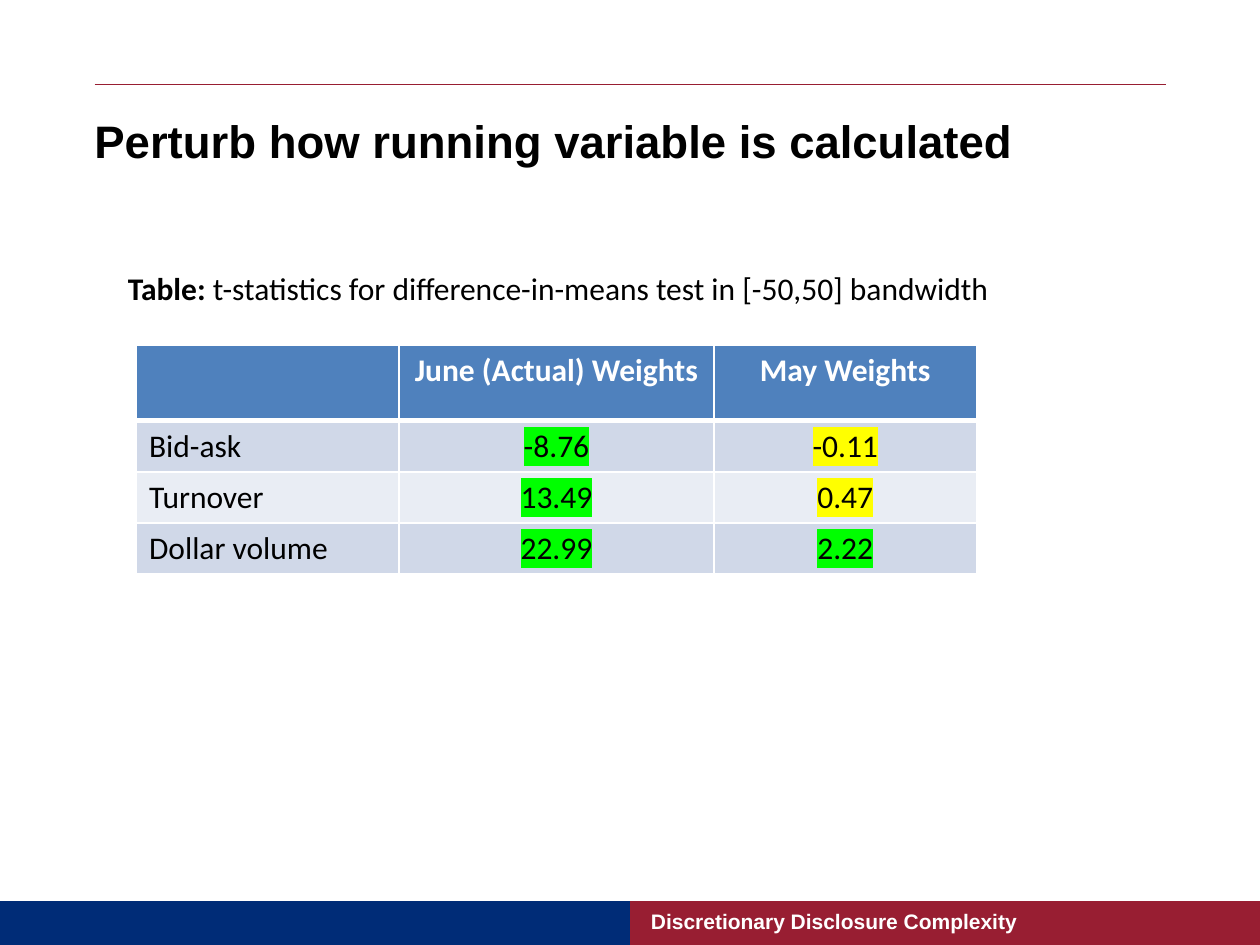
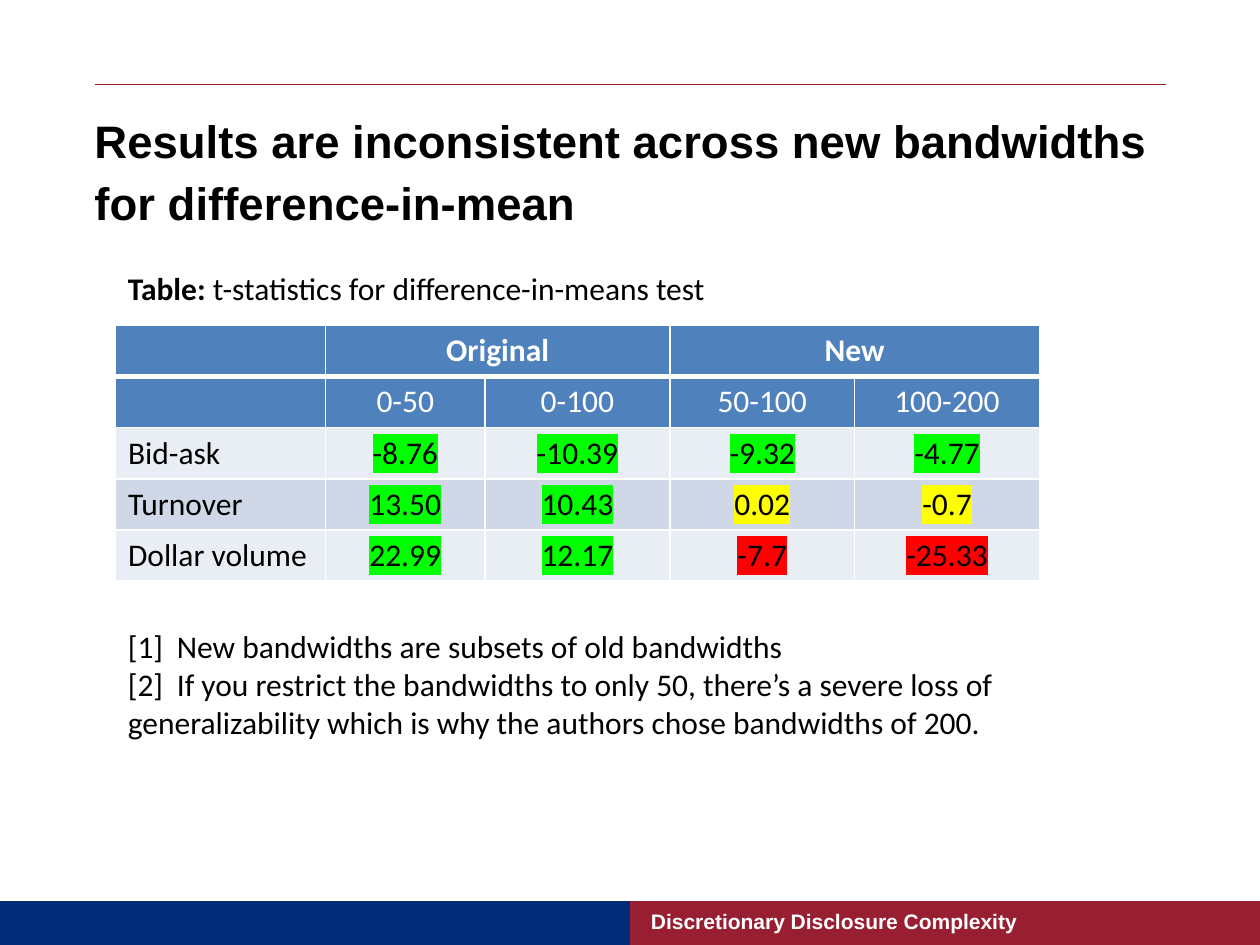
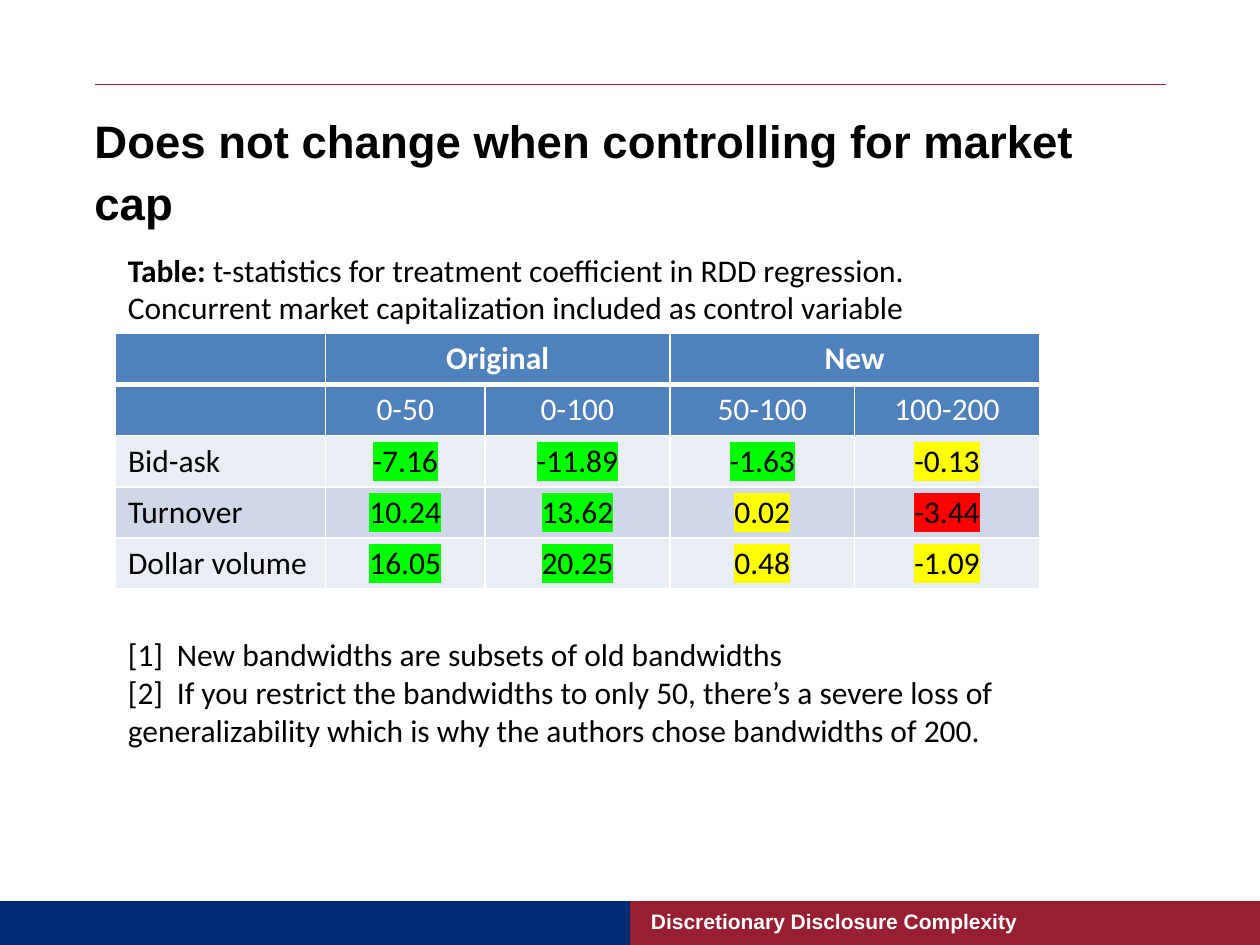
from lxml.etree import SubElement
from pptx import Presentation
from pptx.dml.color import RGBColor
from pptx.enum.shapes import MSO_CONNECTOR, MSO_SHAPE
from pptx.enum.text import MSO_ANCHOR, PP_ALIGN
from pptx.oxml.ns import qn
from pptx.util import Pt

BLACK, WHITE = "000000", "FFFFFF"
RED, NAVY, BLUE = "981E32", "002C77", "4F81BD"
BANDS = ["E9EDF4", "D0D8E8"]
GOOD, WEAK, BAD = "00FF00", "FFFF00", "FF0000"
CUTOFF = 1.5
ROW = 29.2
NOTES = [
    "[1]\tNew bandwidths are subsets of old bandwidths",
    "[2]\tIf you restrict the bandwidths to only 50, there’s a severe loss of "
    "generalizability which is why the authors chose bandwidths of 200.",
]
WIDE_HEAD = [["", "Original", "", "New", ""],
             ["", "0-50", "0-100", "50-100", "100-200"]]
WIDE_COLS = [120, 91.2, 105.6, 105.6, 105.6]


def color(code):
    return RGBColor.from_string(code)


def style(para, size, name="Calibri", code=BLACK, bold=None):
    font = para.font
    font.size, font.name, font.bold = Pt(size), name, bold
    font.color.rgb = color(code)


def add_text(slide, box, lines, inset=True):
    frame = slide.shapes.add_textbox(*map(Pt, box)).text_frame
    frame.word_wrap = True
    if not inset:
        frame.margin_left = frame.margin_right = 0
        frame.margin_top = frame.margin_bottom = 0
    for index, line in enumerate(lines):
        para = frame.add_paragraph() if index else frame.paragraphs[0]
        para.add_run().text = line
    return frame


def add_rule(slide, left, top, width):
    line = slide.shapes.add_connector(
        MSO_CONNECTOR.STRAIGHT, Pt(left), Pt(top), Pt(left + width), Pt(top))
    line.line.color.rgb = color(RED)
    line.line.width = Pt(0.5)
    SubElement(line._element.spPr, qn("a:effectLst"))


def add_title(slide, box, title):
    left, top, width, height = box
    add_rule(slide, left, top, width)
    frame = add_text(slide, (left, top + 12, width, height - 12), [title], False)
    para = frame.paragraphs[0]
    para.line_spacing = 1.14
    style(para, 26, "Arial", bold=True)


def add_footer(slide, box):
    left, top, width, height = box
    half = width / 2
    for start, code in ((left + half, RED), (left, NAVY)):
        band = slide.shapes.add_shape(
            MSO_SHAPE.RECTANGLE, Pt(start), Pt(top), Pt(half), Pt(height))
        band.shadow.inherit = False
        band.fill.solid()
        band.fill.fore_color.rgb = color(code)
        band.line.fill.background()
    frame = add_text(slide, (left + half + 12, top, 270, height - 2),
                     ["Discretionary Disclosure Complexity"], False)
    frame.vertical_anchor = MSO_ANCHOR.MIDDLE
    style(frame.paragraphs[0], 12, "Arial", WHITE, True)


def add_caption(slide, box, lines):
    frame = add_text(slide, box, lines)
    for para in frame.paragraphs:
        style(para, 18)
    first = frame.paragraphs[0]
    label, rest = first.runs[0].text.split(" ", 1)
    first.runs[0].text = label + " "
    first.runs[0].font.bold = True
    first.add_run().text = rest


def add_notes(slide, box):
    for para in add_text(slide, box, NOTES).paragraphs:
        style(para, 18)
        tabs = para._p.get_or_add_pPr()
        stops = tabs.makeelement(qn("a:tabLst"))
        SubElement(stops, qn("a:tab"), pos=str(Pt(28)), algn="l")
        tabs.find(qn("a:defRPr")).addprevious(stops)


def mark(label, value):
    score = float(value) * (-1 if label == "Bid-ask" else 1)
    if abs(score) < CUTOFF:
        return WEAK
    return GOOD if score > 0 else BAD


def set_border(cell, row):
    props = cell._tc.get_or_add_tcPr()
    for side in "LRTB":
        thick = (row, side) in ((0, "B"), (1, "T"))
        line = SubElement(props, qn("a:ln" + side), w=str(Pt(3 if thick else 1)))
        SubElement(SubElement(line, qn("a:solidFill")), qn("a:srgbClr"), val=WHITE)


def fill_cell(cell, row, col, texts, heads):
    head = row < heads
    set_border(cell, row)
    cell.fill.solid()
    cell.fill.fore_color.rgb = color(BLUE if head else BANDS[row % 2])
    para = cell.text_frame.paragraphs[0]
    style(para, 18, code=WHITE if head else BLACK, bold=row == 0)
    para.alignment = PP_ALIGN.CENTER if col else PP_ALIGN.LEFT
    if not texts[col]:
        return
    run = para.add_run()
    run.text = texts[col]
    if col and not head:
        light = SubElement(run._r.get_or_add_rPr(), qn("a:highlight"))
        SubElement(light, qn("a:srgbClr"), val=mark(texts[0], texts[col]))


def add_stats(slide, left, top, cols, head, body, first=ROW):
    rows = head + body
    tall = [first] + [ROW] * (len(rows) - 1)
    table = slide.shapes.add_table(
        len(rows), len(cols), Pt(left), Pt(top), Pt(sum(cols)), Pt(sum(tall))).table
    table.horz_banding = False
    for col, width in zip(table.columns, cols):
        col.width = Pt(width)
    for row, height in zip(table.rows, tall):
        row.height = Pt(height)
    for row, texts in enumerate(rows):
        for col in range(len(cols)):
            fill_cell(table.cell(row, col), row, col, texts, len(head))
    return table


def add_wide(slide, top, body):
    table = add_stats(slide, 66, top, WIDE_COLS, WIDE_HEAD, body)
    for col in (1, 3):
        table.cell(0, col).merge(table.cell(0, col + 1))
    add_notes(slide, (66, top + 168.8, 564, 73))


def add_slide(deck, title):
    slide = deck.slides.add_slide(deck.slide_layouts[6])
    add_footer(slide, (0, 515, 720, 25))
    add_title(slide, (54, 48, 612, 85), title)
    return slide


def main():
    deck = Presentation()
    deck.slide_width, deck.slide_height = Pt(720), Pt(540)

    slide = add_slide(deck, "Perturb how running variable is calculated")
    add_stats(slide, 78, 197.5, [150, 180, 150],
              [["", "June (Actual) Weights", "May Weights"]],
              [["Bid-ask", "-8.76", "-0.11"],
               ["Turnover", "13.49", "0.47"],
               ["Dollar volume", "22.99", "2.22"]], 43)
    add_caption(slide, (66, 150, 516, 29), [
        "Table: t-statistics for difference-in-means test in [-50,50] bandwidth"])

    slide = add_slide(
        deck, "Results are inconsistent across new bandwidths for difference-in-mean")
    add_wide(slide, 186, [
        ["Bid-ask", "-8.76", "-10.39", "-9.32", "-4.77"],
        ["Turnover", "13.50", "10.43", "0.02", "-0.7"],
        ["Dollar volume", "22.99", "12.17", "-7.7", "-25.33"]])
    add_caption(slide, (66, 150, 378, 29),
                ["Table: t-statistics for difference-in-means test"])

    slide = add_slide(deck, "Does not change when controlling for market cap")
    add_wide(slide, 190.6, [
        ["Bid-ask", "-7.16", "-11.89", "-1.63", "-0.13"],
        ["Turnover", "10.24", "13.62", "0.02", "-3.44"],
        ["Dollar volume", "16.05", "20.25", "0.48", "-1.09"]])
    add_caption(slide, (66, 139.6, 498, 51), [
        "Table: t-statistics for treatment coefficient in RDD regression.",
        "Concurrent market capitalization included as control variable"])

    deck.save("out.pptx")


if __name__ == "__main__":
    main()
